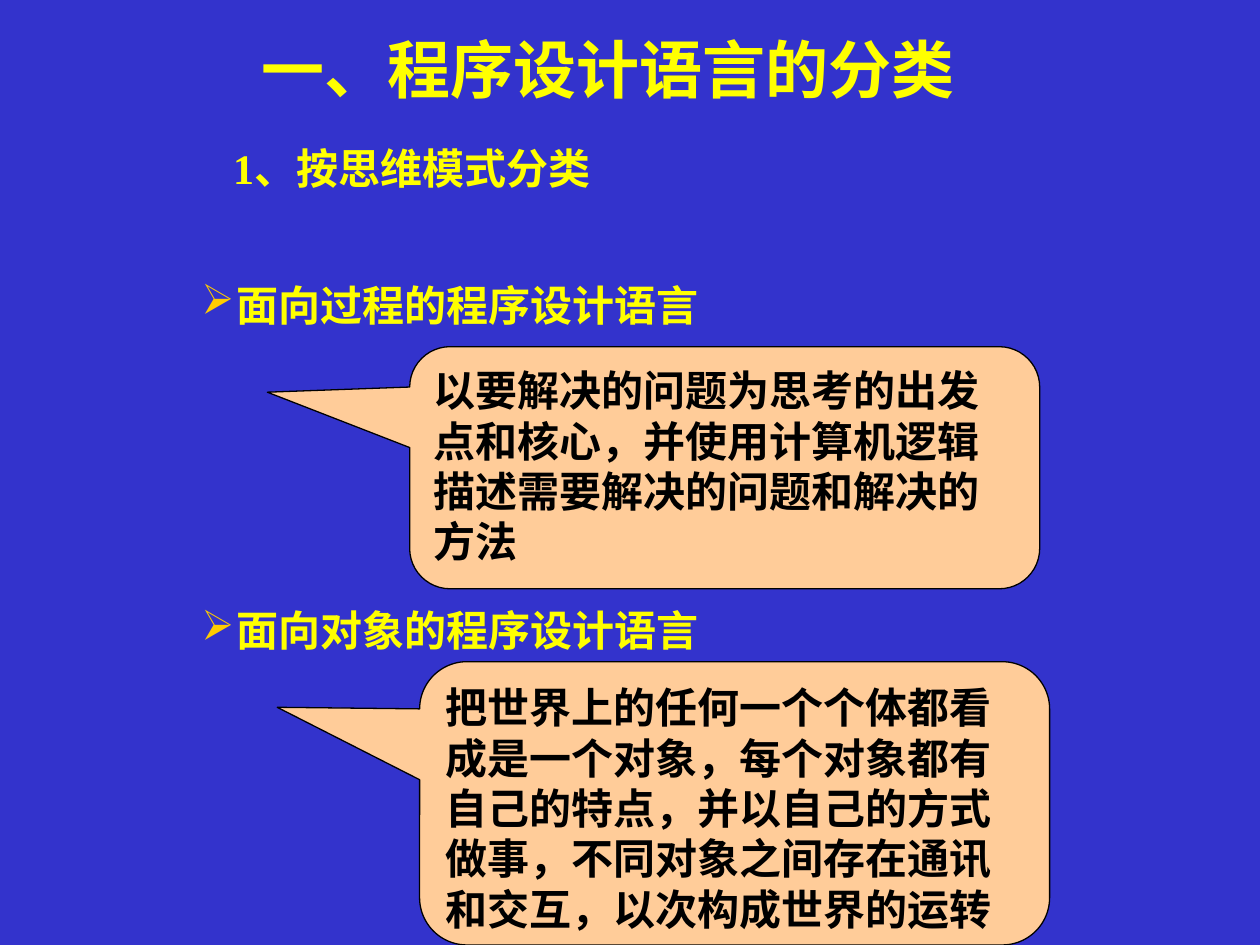
"""Build the slide on classifying programming languages by way of thinking."""
from lxml.etree import SubElement
from pptx import Presentation
from pptx.dml.color import RGBColor
from pptx.enum.shapes import MSO_SHAPE
from pptx.enum.text import MSO_ANCHOR, PP_ALIGN
from pptx.oxml.ns import qn
from pptx.util import Cm, Pt

COLORS = {"background": "3333CC", "heading": "FFFF00", "bullet": "FFCC00",
          "callout": "FFCC99", "ink": "000000"}


def write(shape, text, size, color, anchor=MSO_ANCHOR.TOP, align=PP_ALIGN.LEFT, before=0):
    frame = shape.text_frame
    frame.word_wrap = True
    frame.vertical_anchor = anchor
    frame.text = text
    paragraph = frame.paragraphs[0]
    paragraph.alignment = align
    paragraph.space_before = Pt(before)
    font = paragraph.runs[0].font
    font.name = "Times New Roman"
    font.size = Pt(size)
    font.bold = True
    font.color.rgb = RGBColor.from_string(COLORS[color])
    return paragraph


def add_bullet(paragraph, char):
    properties = paragraph._p.get_or_add_pPr()
    properties.set("marL", str(Cm(0.71)))
    properties.set("indent", str(-Cm(0.71)))
    bullet_color = SubElement(properties, qn("a:buClr"))
    SubElement(bullet_color, qn("a:srgbClr"), val=COLORS["bullet"])
    SubElement(properties, qn("a:buChar"), char=char)


presentation = Presentation()
presentation.slide_width = Cm(25.4)
presentation.slide_height = Cm(19.05)
slide = presentation.slides.add_slide(presentation.slide_layouts[6])
slide.background.fill.solid()
slide.background.fill.fore_color.rgb = RGBColor.from_string(COLORS["background"])

title = slide.shapes.add_textbox(Cm(1.47), Cm(0.2), Cm(21.59), Cm(2.34))
write(title, "一、程序设计语言的分类", 36, "heading", MSO_ANCHOR.MIDDLE, PP_ALIGN.CENTER)

subtitle = slide.shapes.add_textbox(Cm(4.45), Cm(2.74), Cm(17.78), Cm(1.47))
write(subtitle, "1、按思维模式分类", 24, "heading", before=6)

paradigms = [
    ("面向过程的程序设计语言", 5.51,
     "以要解决的问题为思考的出发点和核心，并使用计算机逻辑描述需要解决的问题和解决的方法",
     (8.26, 6.99, 4.88), -0.312),
    ("面向对象的程序设计语言", 12.07,
     "把世界上的任何一个个体都看成是一个对象，每个对象都有自己的特点，"
     "并以自己的方式做事，不同对象之间存在通讯和交互，以次构成世界的运转",
     (8.46, 13.34, 5.71), -0.339),
]
for name, name_top, meaning, (left, top, height), tip in paradigms:
    heading = slide.shapes.add_textbox(Cm(3.81), Cm(name_top), Cm(17.78), Cm(1.47))
    add_bullet(write(heading, name, 24, "heading", before=6), "➢")

    callout = slide.shapes.add_shape(MSO_SHAPE.ROUNDED_RECTANGULAR_CALLOUT,
                                     Cm(left), Cm(top), Cm(12.7), Cm(height))
    for index, value in enumerate((-0.726, tip, 0.167)):
        callout.adjustments[index] = value
    callout.shadow.inherit = False
    callout.fill.solid()
    callout.fill.fore_color.rgb = RGBColor.from_string(COLORS["callout"])
    callout.line.color.rgb = RGBColor.from_string(COLORS["ink"])
    callout.line.width = Pt(0.74)
    write(callout, meaning, 24, "ink")

presentation.save("out.pptx")
